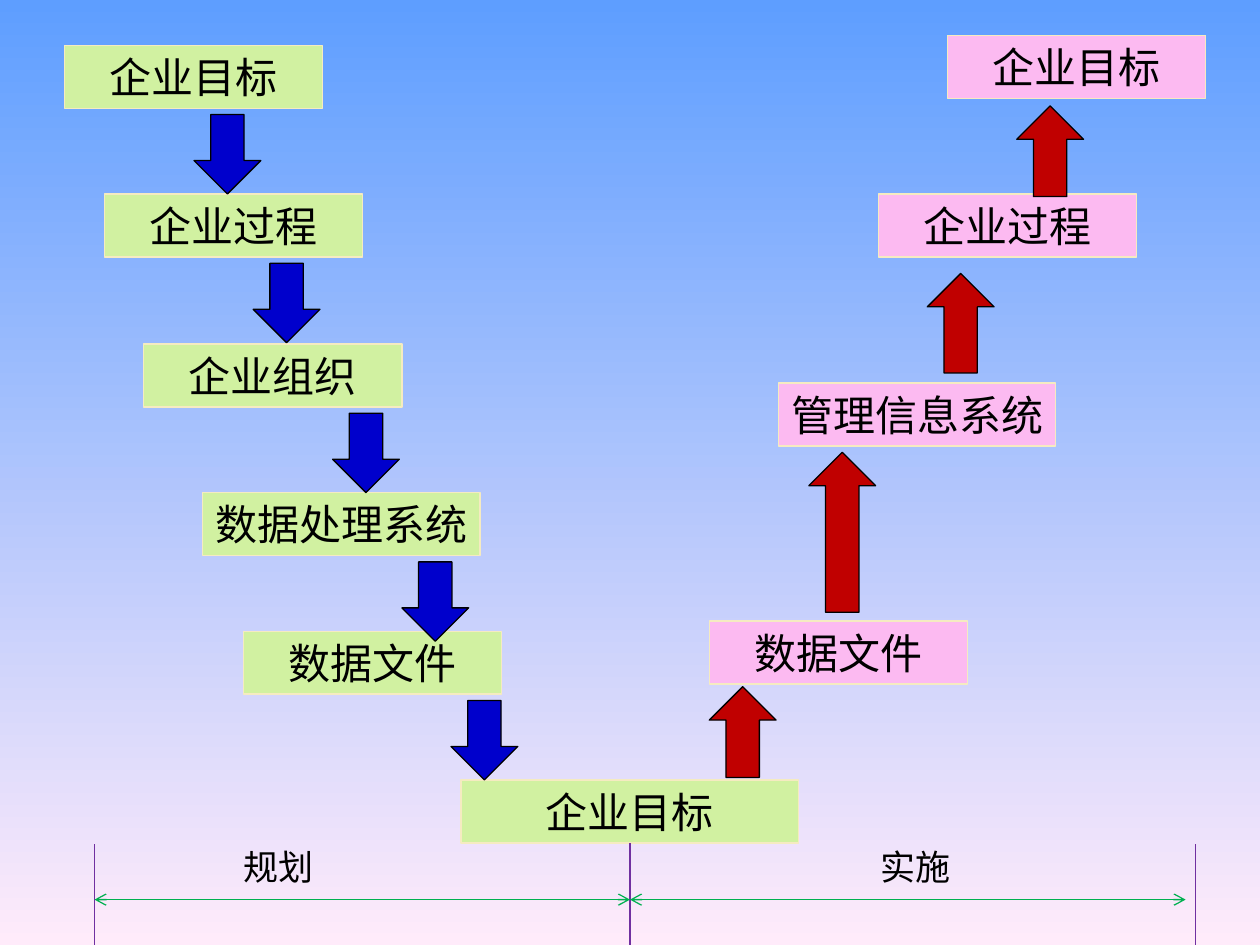
from lxml.etree import SubElement
from pptx import Presentation
from pptx.dml.color import RGBColor
from pptx.enum.shapes import MSO_CONNECTOR, MSO_SHAPE
from pptx.enum.text import MSO_ANCHOR, MSO_AUTO_SIZE, PP_ALIGN
from pptx.oxml.ns import qn
from pptx.util import Inches, Pt

HUES = {
    "sky": "5E9EFF", "blush": "FFEBFA", "green": "D1F1A1", "pink": "FCBAF1",
    "cream": "F5EBC1", "blue": "0000CC", "red": "C00000", "black": "000000",
    "purple": "7030A0", "lime": "00B050",
}
FONT = {"name": "Times New Roman", "bold": False}
FRAME = {
    "auto_size": MSO_AUTO_SIZE.SHAPE_TO_FIT_TEXT, "vertical_anchor": MSO_ANCHOR.TOP,
    "margin_left": Inches(0.1), "margin_right": Inches(0.1),
    "margin_top": Inches(0.05), "margin_bottom": Inches(0.05),
}
HIGH = 0.5
WIDE = 0.53
PLAN = [
    ("企业目标", 0, 0, 2.05), ("企业过程", 0.32, 1.18, 2.05),
    ("企业组织", 0.63, 2.37, 2.05), ("数据处理系统", 1.1, 3.55, 2.2),
    ("数据文件", 1.42, 4.65, 2.05),
]
DOWN = [1.03, 1.5, 2.13, 2.68, 3.07]
BUILD = [
    ("数据文件", 0, 4.65, 2.05), ("管理信息系统", 0.55, 2.76, 2.2),
    ("企业过程", 1.34, 1.26, 2.05), ("企业目标", 1.89, 0, 2.05),
]
RISE = [(0, 5.17, 0.72), (0.79, 3.31, 1.27), (1.73, 1.89, 0.79), (2.44, 0.56, 0.72)]


def hue(name):
    """Return the named colour."""
    return RGBColor.from_string(HUES[name])


def apply(item, values):
    """Set each format value on the item."""
    for key, value in values.items():
        setattr(item, key, value)


def write(shape, text, size, wrap):
    """Put centred black text in the shape."""
    frame = shape.text_frame
    apply(frame, {**FRAME, "word_wrap": wrap})
    para = frame.paragraphs[0]
    para.alignment = PP_ALIGN.CENTER
    run = para.add_run()
    run.text = text
    apply(run.font, {**FONT, "size": Pt(size)})
    run.font.color.rgb = hue("black")


def draw(slide, kind, box, fill, edge):
    """Add a filled preset shape in the box."""
    shape = slide.shapes.add_shape(kind, *map(Inches, box))
    shape.shadow.inherit = False
    shape.fill.solid()
    shape.fill.fore_color.rgb = hue(fill)
    shape.line.color.rgb = hue(edge)
    shape.line.width = Pt(0.75)
    return shape


def step(slide, text, box, fill):
    """Add one labelled step."""
    shape = draw(slide, MSO_SHAPE.RECTANGLE, box, fill, "cream")
    write(shape, text, 24, True)
    return shape


def rule(slide, start, end, color, heads=False):
    """Add a thin straight line, with open heads if asked."""
    line = slide.shapes.add_connector(
        MSO_CONNECTOR.STRAIGHT, *map(Inches, (*start, *end)))
    line.line.color.rgb = hue(color)
    line.line.width = Pt(0.75)
    props = line.element.spPr
    SubElement(props, qn("a:effectLst"))
    if heads:
        for tag in ("a:headEnd", "a:tailEnd"):
            SubElement(props.find(qn("a:ln")), qn(tag), type="arrow")
    return line


def stairs(slide, left, top, steps, fill):
    """Place a flight of steps from the given corner."""
    for text, x, y, width in steps:
        step(slide, text, (left + x, top + y, width, HIGH), fill)


def plan(slide, left, top):
    """Place the planning steps and their arrows."""
    stairs(slide, left, top, PLAN, "green")
    for x, (_, _, y, _) in zip(DOWN, PLAN):
        box = (left + x, top + y + HIGH + 0.05, WIDE, 0.63)
        draw(slide, MSO_SHAPE.DOWN_ARROW, box, "blue", "black")


def build(slide, left, top):
    """Place the delivery steps and their arrows."""
    stairs(slide, left, top, BUILD, "pink")
    for x, y, height in RISE:
        box = (left + x, top + y, WIDE, height)
        draw(slide, MSO_SHAPE.UP_ARROW, box, "red", "black")


def scale(slide, left, top, base):
    """Place the phase scale under the base step."""
    mid, right = left + 4.25, left + 8.74
    for x in (mid, left, right):
        line = rule(slide, (x, top), (x, top + 0.8), "purple")
        if x == mid:
            line.begin_connect(base, 2)
    for start, end in ((left, mid), (mid, right - 0.08)):
        rule(slide, (start, top + 0.44), (end, top + 0.44), "lime", True)
    for text, x in (("规划", 1.06), ("实施", 6.12)):
        box = (left + x, top - 0.04, 0.8, 0.44)
        write(slide.shapes.add_textbox(*map(Inches, box)), text, 20, False)


def paint(slide):
    """Fill the background from top to bottom."""
    fill = slide.background.fill
    fill.gradient()
    fill.gradient_angle = 270
    for stop, name, spot in zip(fill.gradient_stops, ("sky", "blush"), (0, 1)):
        stop.color.rgb = hue(name)
        stop.position = spot


def main():
    """Build and save the slide."""
    deck = Presentation()
    apply(deck, {"slide_width": Inches(10), "slide_height": Inches(7.5)})
    slide = deck.slides.add_slide(deck.slide_layouts[6])
    paint(slide)
    base = step(slide, "企业目标", (3.66, 6.19, 2.68, HIGH), "green")
    plan(slide, 0.51, 0.36)
    build(slide, 5.63, 0.28)
    scale(slide, 0.75, 6.7, base)
    deck.save("out.pptx")


if __name__ == "__main__":
    main()
